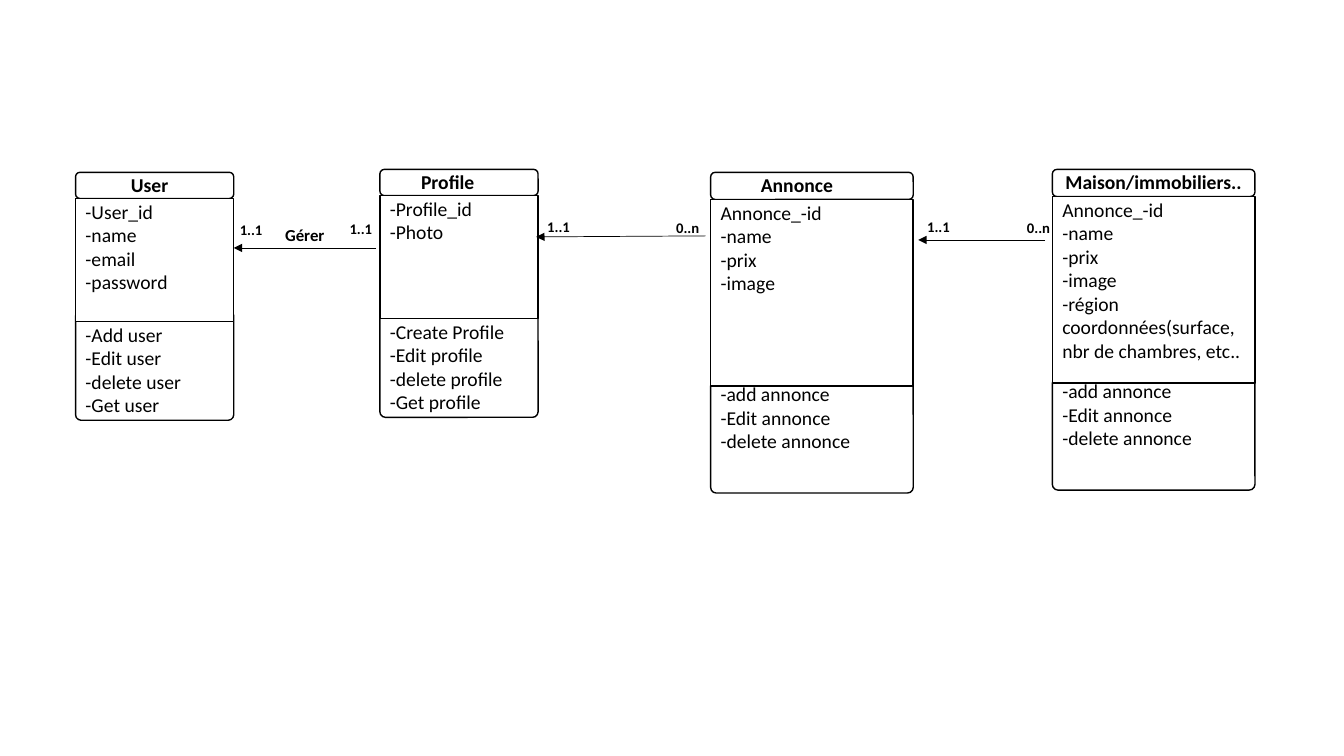
from dataclasses import dataclass

from lxml import etree
from pptx import Presentation
from pptx.dml.color import RGBColor
from pptx.enum.shapes import MSO_CONNECTOR as Link, MSO_SHAPE as Preset
from pptx.enum.text import MSO_AUTO_SIZE as AutoSize
from pptx.oxml.ns import qn
from pptx.util import Pt

BLACK, WHITE = "000000", "FFFFFF"
FONT = "Calibri"


@dataclass
class Box:
    left: float
    top: float
    width: float
    height: float

    def lengths(self):
        return [Pt(v) for v in (self.left, self.top, self.width, self.height)]


@dataclass
class Sizes:
    """Heights and offsets shared by classes of one width."""
    width: float
    header: float
    attributes: float
    operations_top: float
    operations: float
    operations_text: float


NARROW = Sizes(113, 18.7, 88, 98.6, 78.5, 103.7)
WIDE = Sizes(144.7, 19.4, 133.2, 148.5, 80.6, 146.2)


def color(hex_code):
    return RGBColor.from_string(hex_code)


def add_panel(shapes, preset, box, corner=None):
    panel = shapes.add_shape(preset, *box.lengths())
    panel.shadow.inherit = False
    panel.fill.solid()
    panel.fill.fore_color.rgb = color(WHITE)
    panel.line.color.rgb = color(BLACK)
    panel.line.width = Pt(1)
    if corner is not None:
        panel.adjustments[0] = corner


def add_text(shapes, box, lines, size=14, bold=False):
    frame = shapes.add_textbox(*box.lengths()).text_frame
    frame.word_wrap = True
    frame.auto_size = AutoSize.SHAPE_TO_FIT_TEXT
    frame.text = "\n".join(lines)
    for para in frame.paragraphs:
        para.font.name = FONT
        para.font.size = Pt(size)
        para.font.bold = bold
        para.font.color.rgb = color(BLACK)


def add_class(page, left, top, sizes, name, name_box, attributes, operations):
    """Draw one class; name_box is (offset from left, width)."""
    shapes = page.shapes.add_group_shape().shapes
    width = sizes.width
    attributes_top = top + sizes.header

    # Compartments
    add_panel(shapes, Preset.ROUNDED_RECTANGLE,
              Box(left, top + sizes.operations_top, width, sizes.operations), 0.05)
    add_panel(shapes, Preset.ROUNDED_RECTANGLE, Box(left, top, width, sizes.header))
    add_panel(shapes, Preset.RECTANGLE,
              Box(left, attributes_top, width, sizes.attributes))

    # Name, attributes and operations
    offset, name_width = name_box
    add_text(shapes, Box(left + offset, top - 2.9, name_width, 24.2), [name], bold=True)
    for text_top, lines in ((attributes_top - 2.9, attributes),
                            (top + sizes.operations_text, operations)):
        add_text(shapes, Box(left, text_top, width, 7.2 + 17 * len(lines)), lines)


def add_association(page, start, end, labels):
    """Draw an arrow from start to end; labels are (text, left, top, width, size)."""
    arrow = page.shapes.add_connector(Link.STRAIGHT, *[Pt(v) for v in start + end])
    arrow.line.color.rgb = color(BLACK)
    arrow.line.width = Pt(0.5)
    outline = arrow.line._get_or_add_ln()
    etree.SubElement(outline, qn("a:tailEnd"), type="triangle")
    etree.SubElement(arrow._element.spPr, qn("a:effectLst"))
    for text, left, top, width, size in labels:
        add_text(page.shapes, Box(left, top, width, 7.2 + 1.22 * size),
                 [text], size, bold=True)


CLASSES = [
    (54, 123.1, NARROW, "User", (32.4, 67.7),
     ["-User_id", "-name", "-email", "-password"],
     ["-Add user", "-Edit user", "-delete user", "-Get user"]),
    (271.4, 121, NARROW, "Profile", (22.3, 67.7),
     ["-Profile_id", "-Photo"],
     ["-Create Profile", "-Edit profile", "-delete profile", "-Get profile"]),
    (507.6, 123.1, WIDE, "Annonce", (28.8, 86.4),
     ["Annonce_-id", "-name", "-prix", "-image"],
     ["-add annonce", "-Edit annonce", "-delete annonce"]),
    (751.7, 121, WIDE, "Maison/immobiliers..", (2.2, 144.7),
     ["Annonce_-id", "-name", "-prix", "-image", "-région",
      "coordonnées(surface, nbr de chambres, etc.."],
     ["-add annonce", "-Edit annonce", "-delete annonce"]),
]

ASSOCIATIONS = [
    ((268.6, 177.1), (167, 177.1),
     [("Gérer", 196.6, 157, 54.7, 12),
      ("1..1", 164.2, 154.1, 31, 10.5),
      ("1..1", 242.6, 153.4, 31, 10.5)]),
    ((504, 168.5), (383, 169.2),
     [("1..1", 383.8, 151.9, 31, 10.5),
      ("0..n", 475.9, 152.6, 41, 10.5)]),
    ((746.6, 171.4), (655.9, 171.4),
     [("1..1", 655.2, 151.9, 31, 10.5),
      ("0..n", 726.5, 152.6, 41, 10.5)]),
]

deck = Presentation()
deck.slide_width, deck.slide_height = Pt(960), Pt(540)
page = deck.slides.add_slide(deck.slide_layouts.get_by_name("Blank"))
page.background.fill.solid()
page.background.fill.fore_color.rgb = color(WHITE)

for uml_class in CLASSES:
    add_class(page, *uml_class)
for association in ASSOCIATIONS:
    add_association(page, *association)

deck.save("out.pptx")
